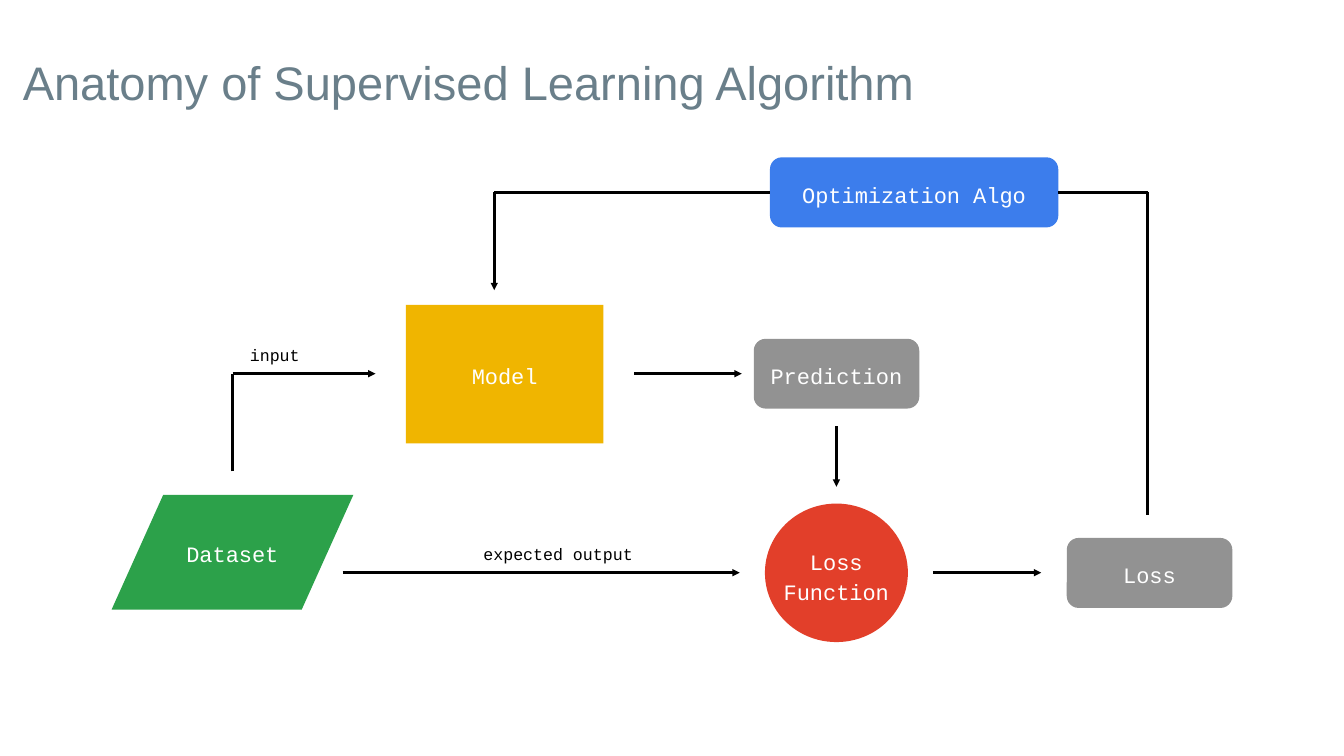
from lxml.etree import SubElement
from pptx import Presentation
from pptx.dml.color import RGBColor
from pptx.enum.shapes import MSO_CONNECTOR as Link, MSO_SHAPE as Shape
from pptx.enum.text import MSO_ANCHOR as Anchor, PP_ALIGN as Align
from pptx.oxml.ns import qn
from pptx.util import Pt

THEME = {
    "title": ("Arial", 25.2, "6A7F8A"),
    "node": ("Courier New", 11.8, "FFFFFF"),
    "label": ("Courier New", 8.9, "000000"),
    "line": ("000000", 1.65),
    "model": "F0B500",
    "data": "2CA14A",
    "value": "929292",
    "loss": "E23F2A",
    "optimizer": "3C7DEC",
}
TITLE = "Anatomy of Supervised Learning Algorithm"
TOP, LEFT, BOTTOM, RIGHT = range(4)

# Name: lines of text, shape, adjustment, fill, (left, top, width, height)
NODES = {
    "model": (["Model"], Shape.RECTANGLE, None, "model", (217.5, 163.4, 105.8, 74.2)),
    "dataset": (["Dataset"], Shape.PARALLELOGRAM, 0.45, "data", (59.8, 265.2, 129.5, 61.4)),
    "prediction": (["Prediction"], Shape.ROUNDED_RECTANGLE, 0.17, "value", (403.8, 181.5, 88.7, 37.4)),
    "loss function": (["Loss", "Function"], Shape.OVAL, None, "loss", (409.8, 269.8, 76.6, 74.2)),
    "loss": (["Loss"], Shape.ROUNDED_RECTANGLE, 0.17, "value", (571.5, 288.2, 88.7, 37.5)),
    "optimizer": (["Optimization Algo"], Shape.ROUNDED_RECTANGLE, 0.17, "optimizer", (412.5, 84.3, 154.5, 37.6)),
}

MODEL_ROW, LOSS_ROW, OPTIMIZER_ROW = 200.2, 306.8, 103.1
# Each route: its stops, as points or (node, side), and whether it ends in an arrowhead
ROUTES = [
    ([(124.6, 252.5), (124.6, MODEL_ROW), (201.2, MODEL_ROW)], True),
    ([(339.8, MODEL_ROW), (397.4, MODEL_ROW)], True),
    ([(183.6, LOSS_ROW), (396.3, LOSS_ROW)], True),
    ([(448.1, 228.3), (448.1, 260.8)], True),
    ([(499.8, LOSS_ROW), (557.8, LOSS_ROW)], True),
    ([(615, 275.8), (615, OPTIMIZER_ROW), ("optimizer", RIGHT)], False),
    ([("optimizer", LEFT), (264.8, OPTIMIZER_ROW), (264.8, 155.5)], True),
]
LABELS = [("input", (133.9, 184.5, 28, 11)), ("expected output", (259, 291, 82, 11))]


def color(value):
    return RGBColor.from_string(value)


def write(frame, lines, style, align=Align.CENTER, inset=0):
    name, size, ink = THEME[style]
    frame.margin_left = frame.margin_right = Pt(inset)
    frame.margin_top = frame.margin_bottom = Pt(inset)
    frame.vertical_anchor = Anchor.MIDDLE
    para = frame.paragraphs[0]
    para.alignment = align
    for number, line in enumerate(lines):
        if number:
            para.add_line_break()
        span = para.add_run()
        span.text = line
        span.font.name, span.font.size = name, Pt(size)
        span.font.color.rgb = color(ink)
    return para


def add_node(page, lines, kind, adjustment, fill, place):
    node = page.shapes.add_shape(kind, *map(Pt, place))
    node.shadow.inherit = False
    node.fill.solid()
    node.fill.fore_color.rgb = color(THEME[fill])
    node.line.fill.background()
    if adjustment is not None:
        node.adjustments[0] = adjustment
    para = write(node.text_frame, lines, "node")
    node.text_frame.word_wrap = False
    node.text_frame.margin_top = Pt(2)
    if len(lines) > 1:
        para.line_spacing = 1.14
    return node


def add_route(page, stops, arrow, nodes):
    """Draw straight connectors from stop to stop, level with a joined node's side."""
    points = []
    for first, second in stops:
        if first in nodes:
            node = nodes[first]
            x = node.left + (node.width if second == RIGHT else 0)
            points.append((x, node.top + node.height // 2))
        else:
            points.append((Pt(first), Pt(second)))
    for index, (start, end) in enumerate(zip(points, points[1:])):
        link = page.shapes.add_connector(Link.STRAIGHT, *start, *end)
        ink, width = THEME["line"]
        link.line.color.rgb = color(ink)
        link.line.width = Pt(width)
        if arrow and end == points[-1]:
            SubElement(link.line._get_or_add_ln(), qn("a:tailEnd"), type="triangle", w="sm", len="sm")
        SubElement(link._element.spPr, qn("a:effectLst"))
        if stops[index][0] in nodes:
            link.begin_connect(nodes[stops[index][0]], stops[index][1])
        if stops[index + 1][0] in nodes:
            link.end_connect(nodes[stops[index + 1][0]], stops[index + 1][1])


def main():
    deck = Presentation()
    deck.slide_width, deck.slide_height = Pt(720), Pt(405)
    page = deck.slides.add_slide(deck.slide_layouts[5])

    title = page.shapes.title
    title.left, title.top, title.width, title.height = map(Pt, (5, 21, 671, 45.4))
    write(title.text_frame, [TITLE], "title", Align.LEFT, 7.2)

    nodes = {name: add_node(page, *details) for name, details in NODES.items()}
    for stops, arrow in ROUTES:
        add_route(page, stops, arrow, nodes)
    for text, place in LABELS:
        box = page.shapes.add_textbox(*map(Pt, place))
        box.text_frame.word_wrap = True
        write(box.text_frame, [text], "label", Align.LEFT)

    deck.save("out.pptx")


if __name__ == "__main__":
    main()
